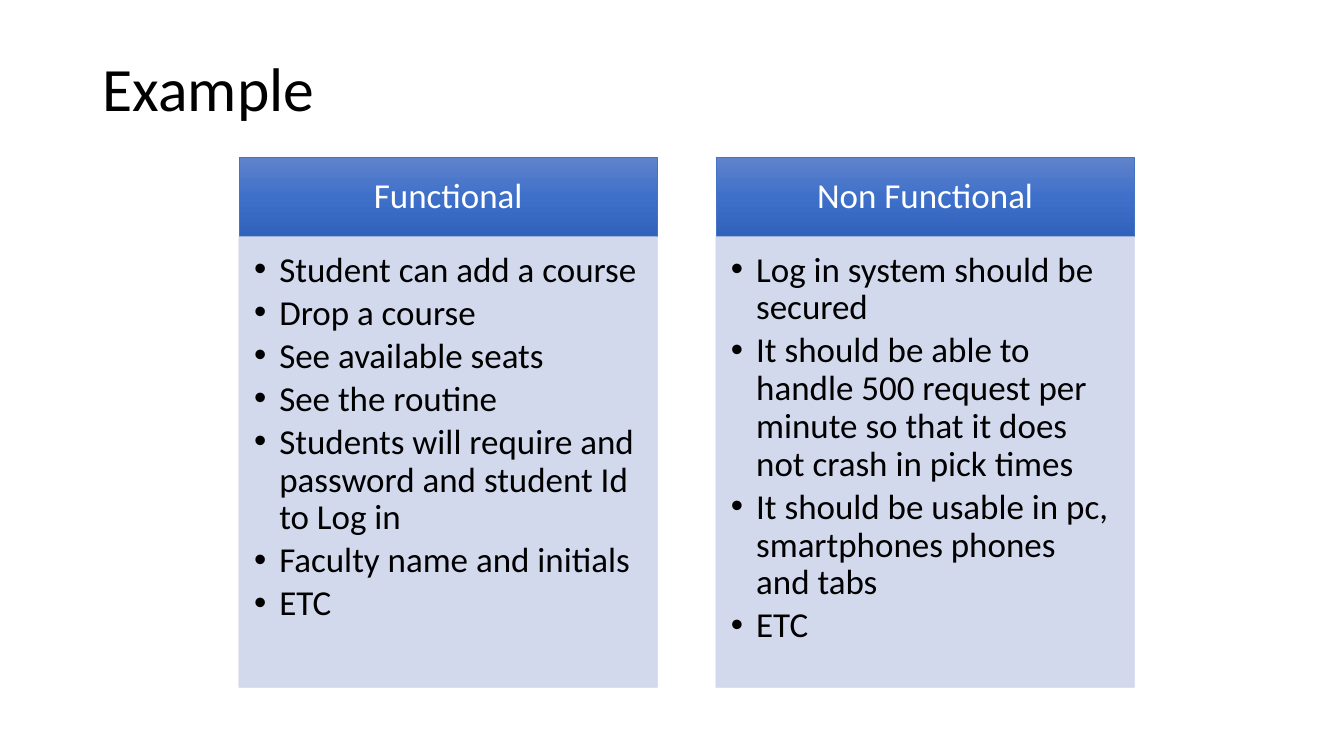
"""Build a slide comparing functional and non functional requirements."""
from copy import deepcopy

from lxml import etree
from pptx import Presentation
from pptx import util as u
from pptx.dml.color import RGBColor
from pptx.enum import shapes, text
from pptx.oxml.ns import qn

REQUIREMENTS = {
    "Functional": [
        "Student can add a course",
        "Drop a course",
        "See available seats",
        "See the routine",
        "Students will require and password and student Id to Log in",
        "Faculty name and initials",
        "ETC",
    ],
    "Non Functional": [
        "Log in system should be secured",
        "It should be able to handle 500 request per minute so that it does not crash in pick times",
        "It should be usable in pc, smartphones phones and tabs",
        "ETC",
    ],
}
HEADING_STOPS = [(0, "6183CB"), (0.5, "3E70CA"), (1, "3062BB")]
LEFT, COLUMN_STEP, COLUMN_WIDTH = 2.37, 4.73, 4.15
TOP, HEADING_HEIGHT, PANEL_HEIGHT = 1.56, 0.79, 4.47


def paint(target, colour):
    target.rgb = RGBColor.from_string(colour)


def write(box, lines, size, colour, align, anchor, margins):
    frame = box.text_frame
    frame.word_wrap = True
    frame.vertical_anchor = anchor
    frame.margin_left, frame.margin_top, frame.margin_right, frame.margin_bottom = map(u.Inches, margins)
    frame.text = "\n".join(lines)
    for paragraph in frame.paragraphs:
        paragraph.alignment = align
        paragraph.line_spacing = 0.9
        for run in paragraph.runs:
            run.font.name = "Calibri"
            run.font.size = u.Pt(size)
            paint(run.font.color, colour)


deck = Presentation()
deck.slide_width, deck.slide_height = u.Inches(13.33), u.Inches(7.5)
slide = deck.slides.add_slide(deck.slide_layouts[6])

title = slide.shapes.add_textbox(u.Inches(0.92), u.Inches(0.4), u.Inches(11.5), u.Inches(1.02))
write(title, ["Example"], 44, "000000", text.PP_ALIGN.LEFT, text.MSO_ANCHOR.MIDDLE, (0.1, 0.05, 0.1, 0.05))

for column, (name, items) in enumerate(REQUIREMENTS.items()):
    left = u.Inches(LEFT + column * COLUMN_STEP)
    heading = slide.shapes.add_shape(
        shapes.MSO_SHAPE.RECTANGLE, left, u.Inches(TOP), u.Inches(COLUMN_WIDTH), u.Inches(HEADING_HEIGHT))
    panel = slide.shapes.add_shape(
        shapes.MSO_SHAPE.RECTANGLE, left, u.Inches(TOP + HEADING_HEIGHT),
        u.Inches(COLUMN_WIDTH), u.Inches(PANEL_HEIGHT))
    for part, outline in ((heading, "4472C4"), (panel, "CFD5EA")):
        part.shadow.inherit = False
        part.line.width = u.Pt(0.5)
        paint(part.line.color, outline)

    heading.fill.gradient()
    heading.fill.gradient_angle = 270
    stop_list = heading._element.spPr.find(".//" + qn("a:gsLst"))
    stop_list.insert(1, deepcopy(stop_list[0]))
    for stop, (position, colour) in zip(heading.fill.gradient_stops, HEADING_STOPS):
        stop.position = position
        paint(stop.color, colour)
    write(heading, [name], 25, "FFFFFF", text.PP_ALIGN.CENTER, text.MSO_ANCHOR.MIDDLE,
          (0.19, 0.11, 0.19, 0.11))

    panel.fill.solid()
    paint(panel.fill.fore_color, "CFD5EA")
    for tint in panel._element.spPr.iter(qn("a:srgbClr")):
        etree.SubElement(tint, qn("a:alpha"), val="90000")
    write(panel, items, 25, "000000", text.PP_ALIGN.LEFT, text.MSO_ANCHOR.TOP, (0.15, 0.15, 0.19, 0.22))
    for item in panel.text_frame.paragraphs:
        item.space_after = u.Pt(3.75)
        properties = item._p.get_or_add_pPr()
        properties.set("marL", str(u.Inches(0.25)))
        properties.set("indent", str(-u.Inches(0.25)))
        etree.SubElement(properties, qn("a:buFont"), typeface="Arial")
        etree.SubElement(properties, qn("a:buChar"), char="•")

deck.save("out.pptx")
